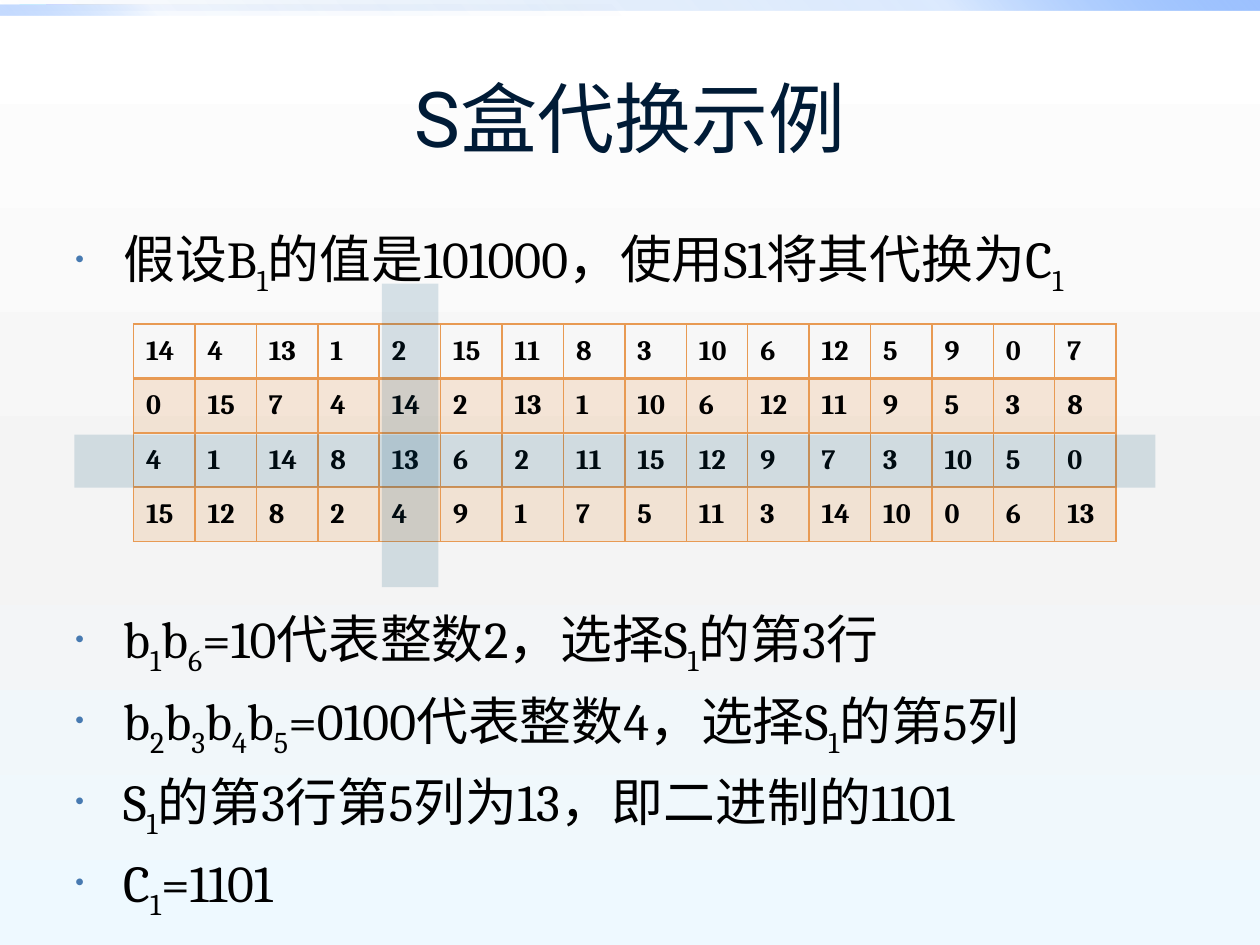
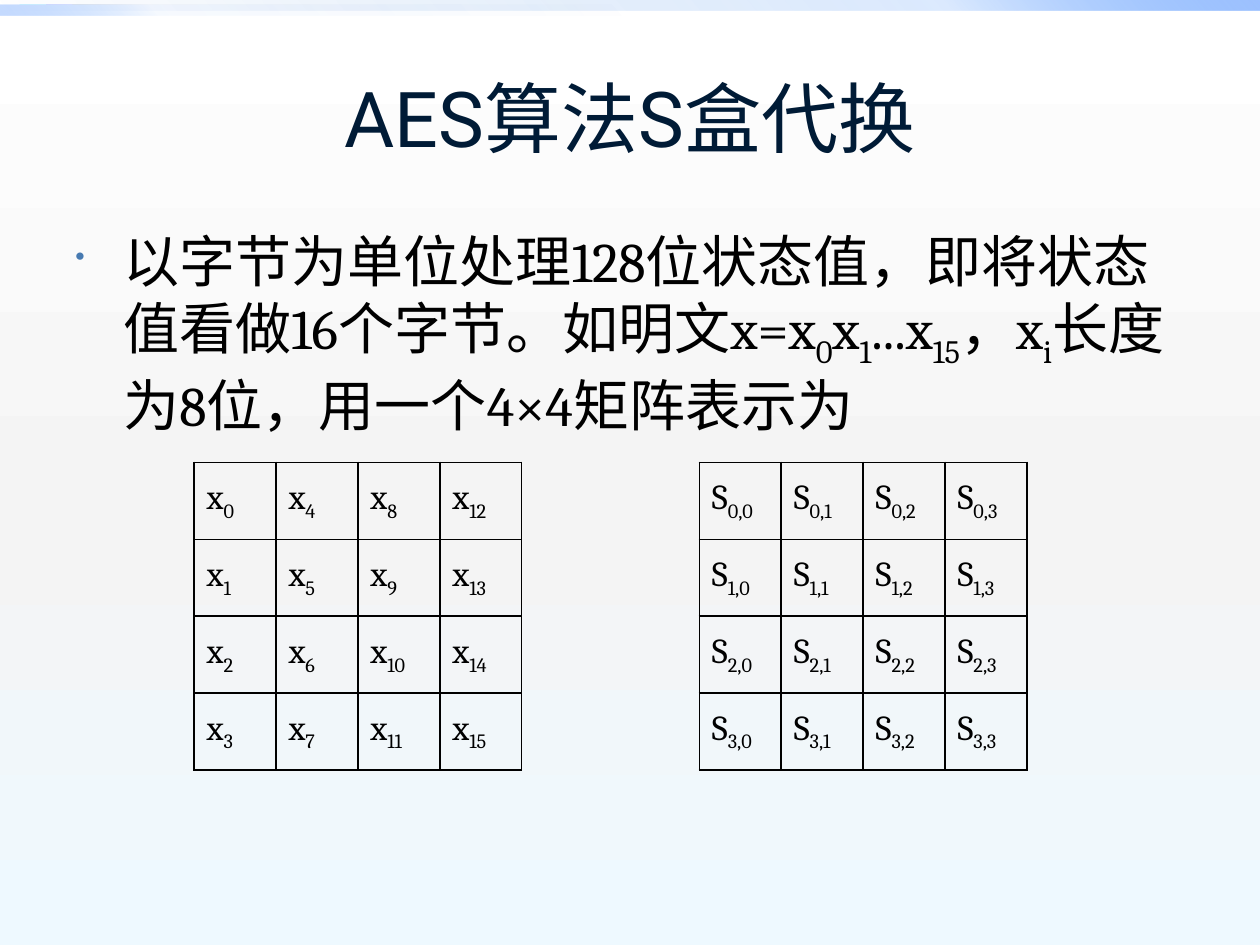
from lxml import etree
from pptx import Presentation
from pptx import util as u
from pptx.dml.color import RGBColor
from pptx.enum import shapes, text
from pptx.oxml.ns import qn

WIDTH, HEIGHT = 10, 7.5
MARGIN = 0.05 * WIDTH
COLORS = {
    "title": "001B36", "body": "000000", "bullet": "477AB1",
    "orange": "E89A53", "highlight": "064E74", "grid": "000000",
    "white": "FFFFFF", "grey": "F4F4F4", "ice": "EEF9FF",
    "deep": "0058B7", "mid": "4F95FF", "pale": "9EC2FF",
}
SERIF, SANS = "Cambria", "Roboto"
BODY_TOP = 1.75
INDENT = 0.38

S1_ROWS = [
    [14, 4, 13, 1, 2, 15, 11, 8, 3, 10, 6, 12, 5, 9, 0, 7],
    [0, 15, 7, 4, 14, 2, 13, 1, 10, 6, 12, 11, 9, 5, 3, 8],
    [4, 1, 14, 8, 13, 6, 2, 11, 15, 12, 9, 7, 3, 10, 5, 0],
    [15, 12, 8, 2, 4, 9, 1, 7, 5, 11, 3, 14, 10, 0, 6, 13],
]
BYTES = [[f"x_{row + 4 * column}" for column in range(4)] for row in range(4)]
STATE = [[f"S_{row},{column}" for column in range(4)] for row in range(4)]

S_BOX_TABLE = {"size": 16, "bold": True, "line": "orange", "banded": True}
MATRIX_TABLE = {"size": 20, "bold": False, "line": "grid", "banded": False}

# Text boxes: top, height, size, paragraphs. Tables: box, rows, style.
SLIDES = [
    {
        "title": "S盒代换示例",
        "texts": [
            (BODY_TOP, 0.7, 29.6, ["假设B_1_的值是101000，使用S1将其代换为C_1"]),
            (4.77, 2.6, 29.6, [
                "b_1_b_6_=10代表整数2，选择S_1_的第3行",
                "b_2_b_3_b_4_b_5_=0100代表整数4，选择S_1_的第5列",
                "S_1_的第3行第5列为13，即二进制的1101",
                "C_1_=1101",
            ]),
        ],
        "tables": [((1.06, 2.57, 7.8, 1.73), S1_ROWS, S_BOX_TABLE)],
        "highlights": [(0.59, 3.45, 8.58, 0.42), (3.03, 2.25, 0.45, 2.41)],
    },
    {
        "title": "AES算法S盒代换",
        "texts": [
            (BODY_TOP, 4.91, 32, [
                "以字节为单位处理128位状态值，即将状态值看做16个字节。"
                "如明文x=x_0_x_1_...x_15_，x_i_长度为8位，用一个4×4矩阵表示为",
            ]),
        ],
        "tables": [
            ((1.54, 3.67, 2.6, 2.44), BYTES, MATRIX_TABLE),
            ((5.55, 3.67, 2.6, 2.44), STATE, MATRIX_TABLE),
        ],
        "highlights": [],
    },
]


def write(paragraph, marked, size, color="body", name=SERIF, bold=False):
    """Add runs to the paragraph; pieces between underscores are subscripts."""
    font_format = {"size": u.Pt(size), "name": name, "bold": bold}
    for index, piece in enumerate(marked.split("_")):
        if not piece:
            continue
        run = paragraph.add_run()
        run.text = piece
        for attribute, value in font_format.items():
            setattr(run.font, attribute, value)
        run.font.color.rgb = RGBColor.from_string(COLORS[color])
        if index % 2:
            run._r.get_or_add_rPr().set("baseline", "-25000")


def add_rectangle(slide, box):
    shape = slide.shapes.add_shape(shapes.MSO_SHAPE.RECTANGLE, *map(u.Inches, box))
    shape.shadow.inherit = False
    shape.line.fill.background()
    return shape


presentation = Presentation()
presentation.slide_width = u.Inches(WIDTH)
presentation.slide_height = u.Inches(HEIGHT)
master = presentation.slide_master
title_only = presentation.slide_layouts[5]
pages = [presentation.slides.add_slide(title_only) for _ in SLIDES]

# The background and the two top bands live on the master.
wide_band = add_rectangle(pages[0], (0, 0, WIDTH, 0.08))
half_band = add_rectangle(pages[0], (0, 0.04, WIDTH / 2, 0.08))
# Stops: position, colour, opacity, all in percent.
gradients = [
    (master.background.fill, master.element.cSld, 90,
     [(0, "white", 100), (55, "grey", 100), (100, "ice", 100)]),
    (wide_band.fill, wide_band.element, 315,
     [(0, "deep", 0), (75, "mid", 20), (100, "pale", 100)]),
    (half_band.fill, half_band.element, 135,
     [(0, "deep", 0), (75, "mid", 5), (100, "pale", 60)]),
]
for fill, root, angle, stops in gradients:
    fill.gradient()
    fill.gradient_angle = 360 - angle
    stop_list = next(root.iter(qn("a:gsLst")))
    for old_stop in list(stop_list):
        stop_list.remove(old_stop)
    for position, color, opacity in stops:
        stop = etree.SubElement(stop_list, qn("a:gs"), pos=str(position * 1000))
        rgb = etree.SubElement(stop, qn("a:srgbClr"), val=COLORS[color])
        etree.SubElement(rgb, qn("a:alpha"), val=str(opacity * 1000))
for index, band in enumerate((wide_band, half_band)):
    master.element.cSld.spTree.insert(2 + index, band.element)

for slide, content in zip(pages, SLIDES):
    title = slide.shapes.title
    title_box = {"left": MARGIN, "top": 0.04 * HEIGHT,
                 "width": WIDTH - 2 * MARGIN, "height": 1.25}
    for attribute, value in title_box.items():
        setattr(title, attribute, u.Inches(value))
    title.text_frame.vertical_anchor = text.MSO_ANCHOR.MIDDLE
    heading = title.text_frame.paragraphs[0]
    heading.alignment = text.PP_ALIGN.CENTER
    write(heading, content["title"], 44, "title", SANS)

    for top, height, size, lines in content["texts"]:
        box = (MARGIN, top, WIDTH - 2 * MARGIN, height)
        frame = slide.shapes.add_textbox(*map(u.Inches, box)).text_frame
        frame.word_wrap = True
        for index, line in enumerate(lines):
            paragraph = frame.add_paragraph() if index else frame.paragraphs[0]
            properties = paragraph._p.get_or_add_pPr()
            properties.set("marL", str(u.Inches(INDENT)))
            properties.set("indent", str(-u.Inches(INDENT)))
            bullet_color = etree.SubElement(properties, qn("a:buClr"))
            etree.SubElement(bullet_color, qn("a:srgbClr"), val=COLORS["bullet"])
            etree.SubElement(properties, qn("a:buSzPct"), val="50000")
            etree.SubElement(properties, qn("a:buChar"), char="•")
            if index:
                paragraph.space_before = u.Pt(0.2 * size)
            write(paragraph, line, size)

    for box, rows, style in content["tables"]:
        table = slide.shapes.add_table(
            len(rows), len(rows[0]), *map(u.Inches, box)).table
        table.first_row = table.horz_banding = False
        for row, values in enumerate(rows):
            for column, value in enumerate(values):
                cell = table.cell(row, column)
                cell.vertical_anchor = text.MSO_ANCHOR.MIDDLE
                write(cell.text_frame.paragraphs[0], str(value),
                      style["size"], bold=style["bold"])
                properties = cell._tc.get_or_add_tcPr()
                if style["banded"] and row % 2:
                    cell.fill.solid()
                    cell.fill.fore_color.rgb = RGBColor.from_string(COLORS["orange"])
                    rgb = next(properties.iter(qn("a:srgbClr")))
                    etree.SubElement(rgb, qn("a:alpha"), val="20000")
                else:
                    cell.fill.background()
                for index, side in enumerate(("lnL", "lnR", "lnT", "lnB")):
                    header_rule = style["banded"] and (row, side) in ((0, "lnB"), (1, "lnT"))
                    line = etree.Element(qn(f"a:{side}"),
                                         w=str(u.Pt(2 if header_rule else 1)))
                    line_fill = etree.SubElement(line, qn("a:solidFill"))
                    etree.SubElement(line_fill, qn("a:srgbClr"), val=COLORS[style["line"]])
                    properties.insert(index, line)

    for box in content["highlights"]:
        highlight = add_rectangle(slide, box)
        highlight.fill.solid()
        highlight.fill.fore_color.rgb = RGBColor.from_string(COLORS["highlight"])
        rgb = next(highlight.element.spPr.iter(qn("a:srgbClr")))
        etree.SubElement(rgb, qn("a:alpha"), val="15000")

presentation.save("out.pptx")
